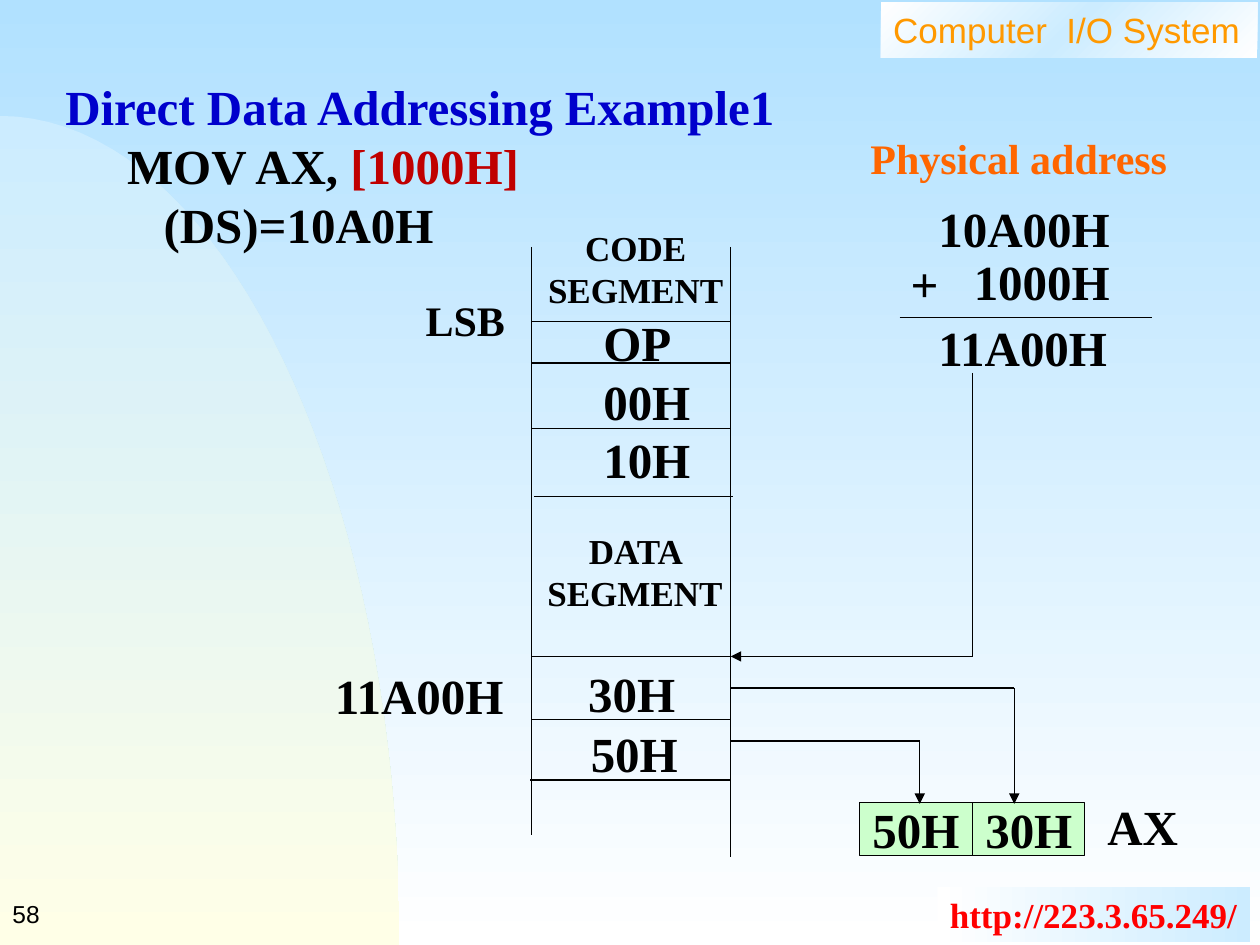
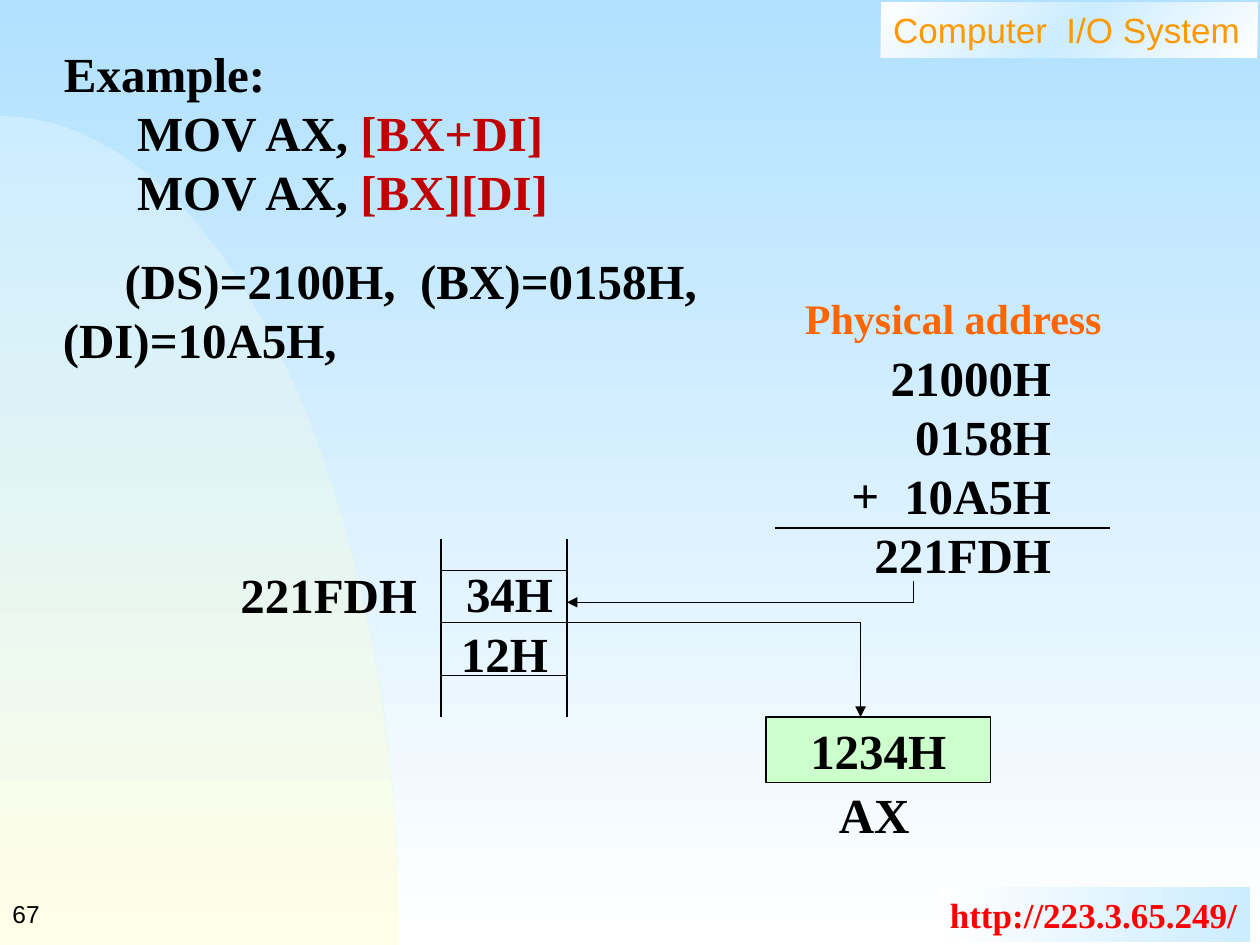
from copy import deepcopy
from itertools import pairwise

from lxml.etree import SubElement
from pptx import Presentation
from pptx.dml.color import RGBColor
from pptx.enum.shapes import MSO_CONNECTOR, MSO_SHAPE
from pptx.enum.text import MSO_ANCHOR, PP_ALIGN
from pptx.oxml.ns import qn
from pptx.util import Inches, Pt

BLACK = RGBColor(0x00, 0x00, 0x00)
WHITE = RGBColor(0xFF, 0xFF, 0xFF)
BLUE = RGBColor(0x00, 0x00, 0xCC)
DARK_RED = RGBColor(0xC0, 0x00, 0x00)
RED = RGBColor(0xFF, 0x00, 0x00)
ORANGE = RGBColor(0xFF, 0x66, 0x00)
AMBER = RGBColor(0xFF, 0x99, 0x00)
SKY = RGBColor(0xB1, 0xE1, 0xFF)
PALE_BLUE = RGBColor(0xCC, 0xEC, 0xFF)
CREAM = RGBColor(0xFF, 0xFF, 0xE7)
GREEN = RGBColor(0xCC, 0xFF, 0xCC)

SERIF, SANS = "Times New Roman", "Arial"
CENTER, RIGHT = PP_ALIGN.CENTER, PP_ALIGN.RIGHT
CURVE = [(0, 0.92), (1.75, 0.92), (3.17, 3.87), (3.17, 7.5)]
CURVE_STEPS = 40
HEADER = [("Computer", AMBER), (" ", AMBER, 5.5), ("I/O System", AMBER)]
FOOTER = [("http://223.3.65.249/", RED)]

DIRECT = {
    "number": "58",
    "texts": [
        ((0.42, 0.56, 6, 1.5), [
            [("Direct Data Addressing Example1", BLUE)],
            [("MOV AX, ", BLACK), ("[1000H]", DARK_RED)],
            [("(DS)=10A0H", BLACK)],
        ], {"indents": (0, 0.49, 0.78)}),
        ((6.81, 1, 2.56, 0.5), ["Physical address"], {"size": 24, "color": ORANGE}),
        ((7.35, 1.53, 1.56, 0.57), ["10A00H"], {}),
        ((7.13, 1.96, 0.4, 0.57), ["+"], {}),
        ((7.63, 1.95, 1.28, 0.57), ["1000H"], {}),
        ((7.35, 2.47, 1.56, 0.57), ["11A00H"], {}),
        ((3.28, 2.29, 0.86, 0.5), ["LSB"], {"size": 24}),
        ((4.1, 1.75, 1.89, 0.77), ["CODE SEGMENT"], {"size": 20, "align": CENTER, "wrap": True}),
        ((4.69, 2.43, 1, 1.5), ["OP", "00H", "10H"], {}),
        ((4.03, 4.15, 2.02, 0.77), ["DATA SEGMENT"], {"size": 20, "align": CENTER, "wrap": True}),
        ((2.56, 5.23, 1.56, 0.57), ["11A00H"], {}),
        ((4.57, 5.22, 0.89, 0.57), ["30H"], {}),
        ((4.59, 5.69, 0.89, 0.57), ["50H"], {}),
        ((8.69, 6.27, 0.76, 0.57), ["AX"], {}),
    ],
    "registers": [((6.82, 6.37, 0.9, 0.42), "50H"), ((7.72, 6.37, 0.89, 0.42), "30H")],
    "memory": {
        "sides": [(4.22, 1.96, 6.63), (5.8, 1.96, 6.8)],
        "rows": [(4.22, 2.55), (4.22, 2.88), (4.22, 3.4), (4.24, 3.94),
                 (4.22, 5.21), (4.22, 5.71), (4.21, 6.19)],
        "width": 1.58,
    },
    "sum_rule": ([(7.14, 2.52), (9.14, 2.52)], 0.75),
    "arrows": [
        [(7.72, 2.96), (7.72, 5.21), (5.8, 5.21)],
        [(5.8, 5.46), (8.05, 5.46), (8.05, 6.38)],
        [(5.8, 5.88), (7.3, 5.88), (7.3, 6.38)],
    ],
}

BASE_INDEX = {
    "number": "67",
    "texts": [
        ((0.41, 0.3, 4.46, 1.5), [
            "Example:",
            [("MOV AX, ", BLACK), ("[BX+DI]", DARK_RED)],
            [("MOV AX, ", BLACK), ("[BX][DI]", DARK_RED)],
        ], {"indents": (0, 0.58, 0.58)}),
        ((0.4, 1.94, 6.39, 1.04), [
            [("(DS)=2100H,", BLACK), (" ", BLACK, 7), ("(BX)=0158H, (DI)=10A5H,", BLACK)],
        ], {"first_line": 0.49, "wrap": True}),
        ((6.29, 2.27, 2.56, 0.5), ["Physical address"], {"size": 24, "color": ORANGE}),
        ((6.66, 2.71, 1.78, 1.97), ["21000H", "0158H", "10A5H", "221FDH"],
         {"align": RIGHT, "wrap": True}),
        ((6.66, 3.64, 0.4, 0.57), ["+"], {}),
        ((1.81, 4.43, 1.6, 0.57), ["221FDH"], {}),
        ((3.6, 4.42, 0.89, 0.57), ["34H"], {}),
        ((3.56, 4.9, 0.89, 0.57), ["12H"], {}),
        ((6.56, 6.18, 0.76, 0.57), ["AX"], {}),
    ],
    "registers": [((6.08, 5.69, 1.78, 0.52), "1234H")],
    "memory": {
        "sides": [(3.5, 4.28, 5.69), (4.5, 4.28, 5.69)],
        "rows": [(3.5, 4.53), (3.5, 4.94), (3.5, 5.36)],
        "width": 1,
    },
    "sum_rule": ([(6.15, 4.19), (8.81, 4.19)], 1.5),
    "arrows": [
        [(7.25, 4.61), (7.25, 4.78), (4.5, 4.78)],
        [(4.5, 4.94), (6.83, 4.94), (6.83, 5.69)],
    ],
}


def inches(values):
    return [Inches(v) for v in values]


def paint_gradient(fill, element, angle, colors):
    fill.gradient()
    fill.gradient_angle = -angle % 360
    stops = element.find(".//" + qn("a:gsLst"))
    for _ in colors[2:]:
        stops.insert(1, deepcopy(stops[0]))
    for i, (stop, color) in enumerate(zip(fill.gradient_stops, colors)):
        stop.color.rgb = color
        stop.position = i / (len(colors) - 1)


def write(sp, paragraphs, size=28, color=BLACK, font=SERIF, bold=True, align=None,
          wrap=False, indents=(), first_line=0, anchor=MSO_ANCHOR.TOP):
    tf = sp.text_frame
    tf.word_wrap = wrap
    tf.vertical_anchor = anchor
    for i, runs in enumerate(paragraphs):
        p = tf.paragraphs[0] if i == 0 else tf.add_paragraph()
        pPr = p._p.get_or_add_pPr()
        pPr.set("marL", str(Inches(indents[i] if indents else 0)))
        pPr.set("indent", str(Inches(first_line)))
        p.alignment = align or PP_ALIGN.LEFT
        for text, run_color, *spacing in [(runs, color)] if isinstance(runs, str) else runs:
            r = p.add_run()
            r.text = text
            r.font.name, r.font.size, r.font.bold = font, Pt(size), bold
            r.font.color.rgb = run_color
            for points in spacing:
                r._r.get_or_add_rPr().set("spc", str(int(points * 100)))


def add_label(slide, box, paragraphs, **style):
    write(slide.shapes.add_textbox(*inches(box)), paragraphs, **style)


def add_box(slide, box):
    sp = slide.shapes.add_shape(MSO_SHAPE.RECTANGLE, *inches(box))
    sp.shadow.inherit = False
    sp.line.fill.background()
    return sp


def add_band(slide, box, angle, colors, runs, **style):
    sp = add_box(slide, box)
    paint_gradient(sp.fill, sp._element, angle, colors)
    write(sp, [runs], size=20, **style)


def add_register(slide, box, text):
    sp = add_box(slide, box)
    sp.fill.solid()
    sp.fill.fore_color.rgb = GREEN
    sp.line.color.rgb = BLACK
    sp.line.width = Pt(0.75)
    write(sp, [text], align=CENTER, anchor=MSO_ANCHOR.MIDDLE)


def add_route(slide, points, width=0.75, arrow=False):
    for start, end in pairwise(points):
        line = slide.shapes.add_connector(MSO_CONNECTOR.STRAIGHT, *inches(start + end))
        line.line.color.rgb = BLACK
        line.line.width = Pt(width)
        if arrow and end == points[-1]:
            SubElement(line.line._get_or_add_ln(), qn("a:tailEnd"), type="triangle")
        SubElement(line._element.spPr, qn("a:effectLst"))


def curve_point(t):
    weights = ((1 - t) ** 3, 3 * t * (1 - t) ** 2, 3 * t * t * (1 - t), t ** 3)
    return tuple(Inches(sum(w * pt[axis] for w, pt in zip(weights, CURVE))) for axis in (0, 1))


def add_backdrop(slide, number):
    paint_gradient(slide.background.fill, slide._element, 90, (SKY, WHITE))
    points = [curve_point(i / CURVE_STEPS) for i in range(CURVE_STEPS + 1)]
    builder = slide.shapes.build_freeform(*points[0])
    builder.add_line_segments(points[1:] + [(0, Inches(7.5))], close=True)
    sp = builder.convert_to_shape()
    sp.shadow.inherit = False
    sp.line.fill.background()
    paint_gradient(sp.fill, sp._element, 90, (PALE_BLUE, CREAM))
    add_band(slide, (6.99, 0.02, 2.99, 0.44), 45, (WHITE, PALE_BLUE, WHITE), HEADER,
             font=SANS, bold=False)
    add_band(slide, (7.44, 7.04, 2.48, 0.44), 0, (WHITE, PALE_BLUE), FOOTER)
    add_label(slide, (0, 7, 2.08, 0.5), [number], size=14, font=SANS, bold=False,
              anchor=MSO_ANCHOR.MIDDLE)


def add_memory(slide, sides, rows, width):
    for x, top, bottom in sides:
        add_route(slide, [(x, top), (x, bottom)])
    for x, y in rows:
        add_route(slide, [(x, y), (x + width, y)])


def build_slide(prs, content):
    slide = prs.slides.add_slide(prs.slide_layouts[6])
    add_backdrop(slide, content["number"])
    add_memory(slide, **content["memory"])
    for box, text in content["registers"]:
        add_register(slide, box, text)
    add_route(slide, *content["sum_rule"])
    for points in content["arrows"]:
        add_route(slide, points, arrow=True)
    for box, paragraphs, style in content["texts"]:
        add_label(slide, box, paragraphs, **style)


def main():
    prs = Presentation()
    prs.slide_width, prs.slide_height = Inches(10), Inches(7.5)
    for content in (DIRECT, BASE_INDEX):
        build_slide(prs, content)
    prs.save("out.pptx")


if __name__ == "__main__":
    main()
